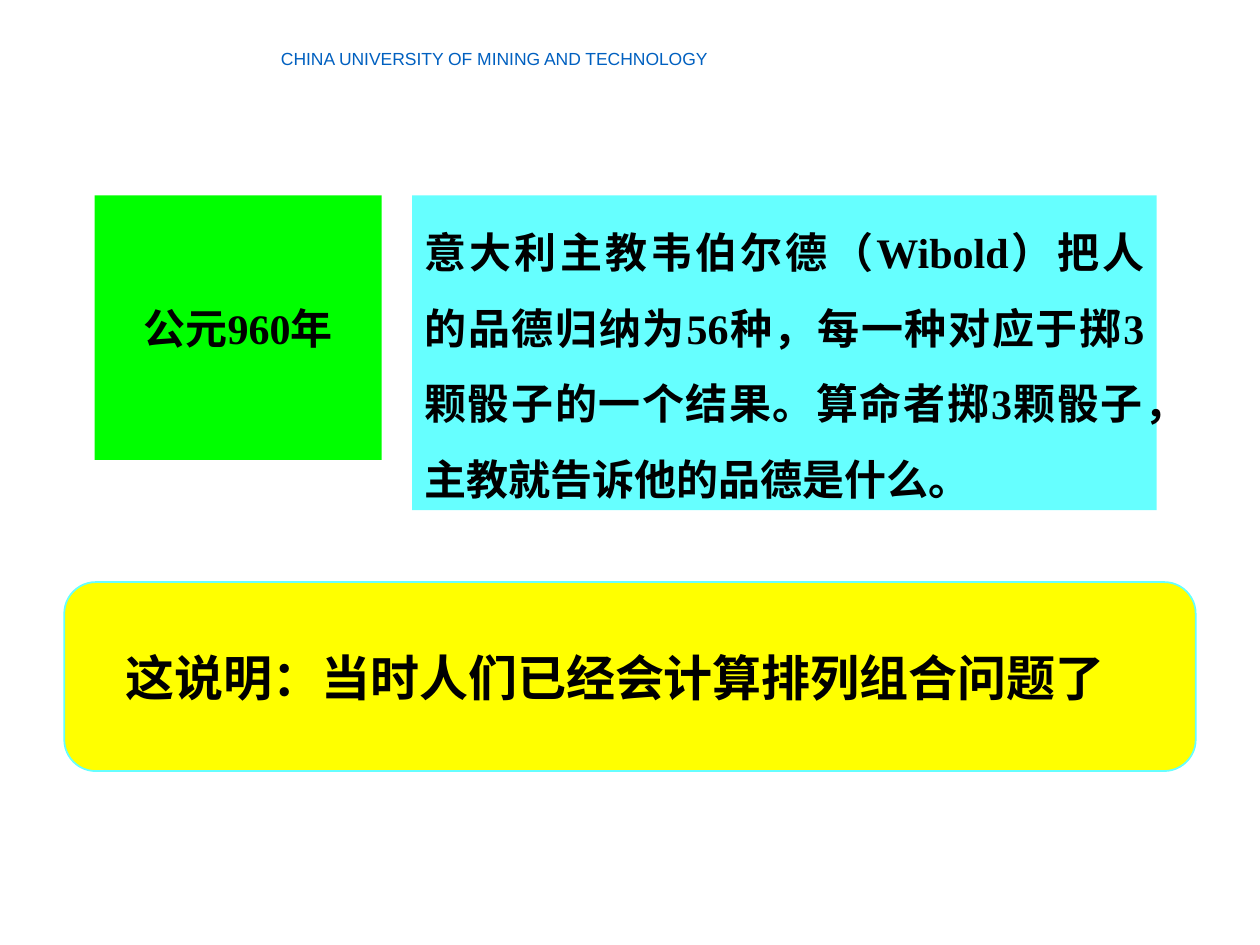
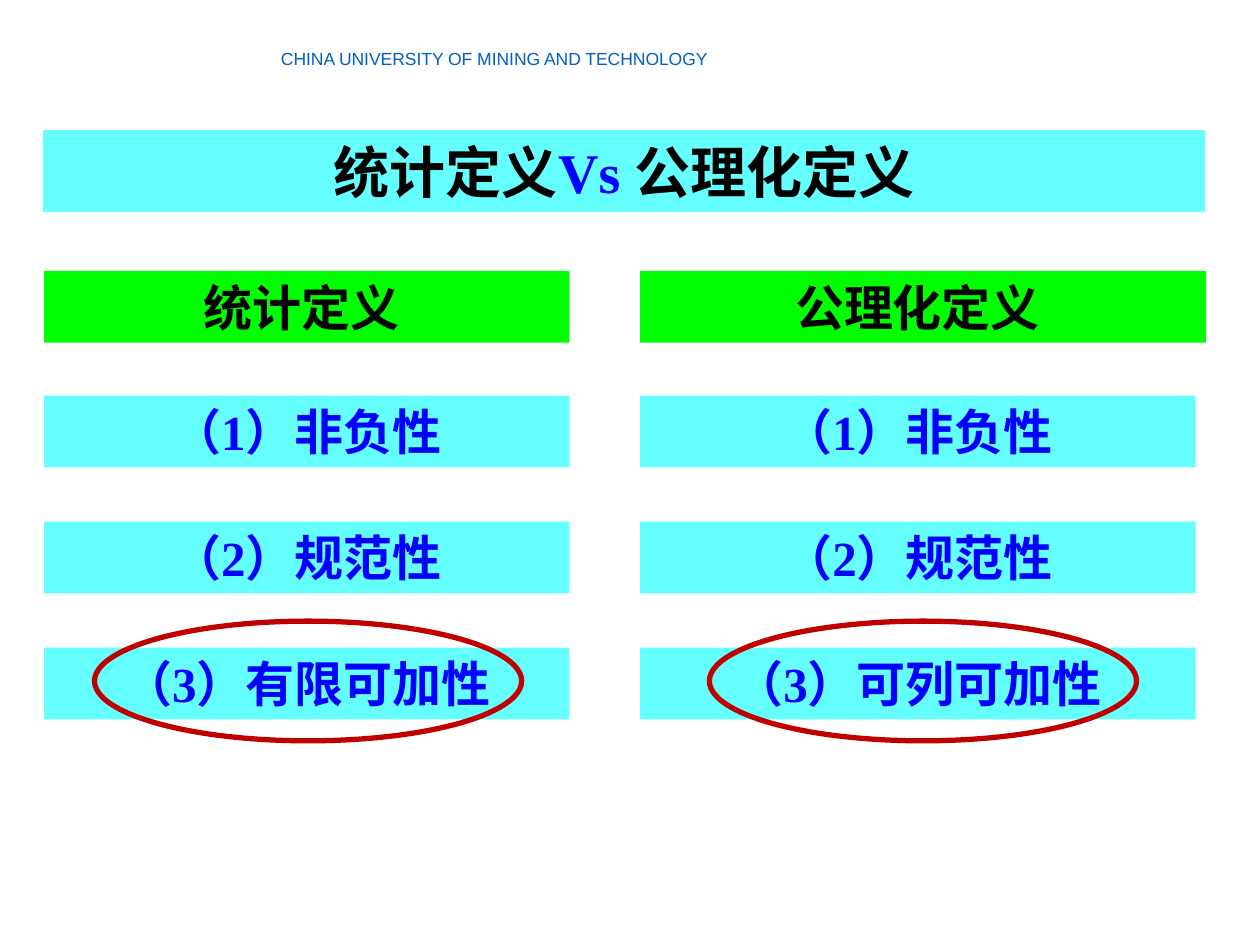
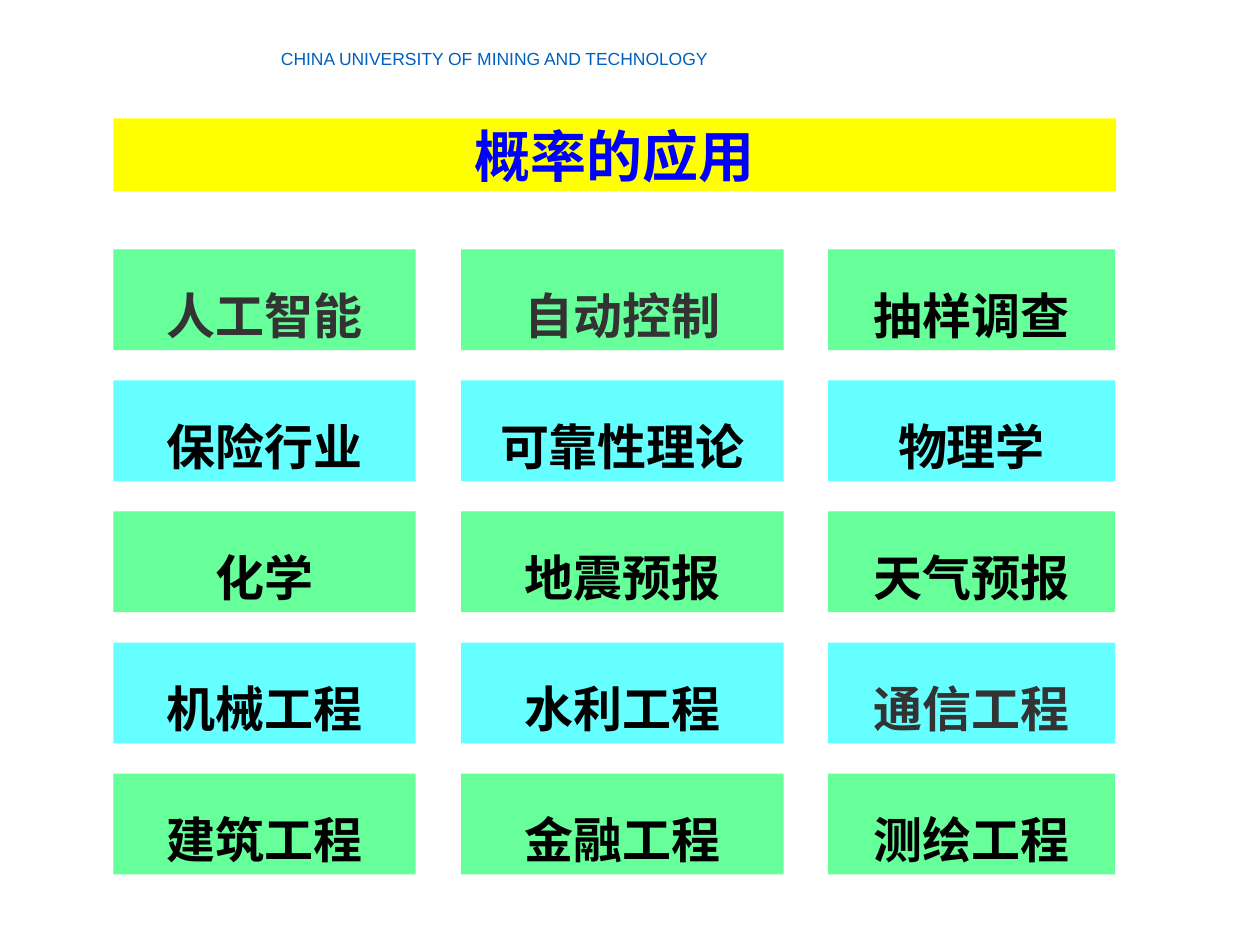
from itertools import product

from lxml.etree import SubElement
from pptx import Presentation
from pptx.dml.color import RGBColor
from pptx.enum.shapes import MSO_SHAPE as Preset
from pptx.enum.text import MSO_ANCHOR as Anchor, PP_ALIGN as Align
from pptx.oxml.ns import qn
from pptx.util import Emu, Pt

SCALE = 9144
SLIDE_SIZE = (1000, 750)
BLACK, GREY, BLUE, RED = "000000", "333333", "0000FF", "C00000"
GREEN, MINT, CYAN, YELLOW = "00FF00", "66FF99", "66FFFF", "FFFF00"
HEADER_BLUE = "0060C0"
SERIF, SANS, CJK = "Times New Roman", "Arial", "Noto Sans CJK SC"


def px(*lengths):
    """Turn px lengths into EMU."""
    return [Emu(length * SCALE) for length in lengths]


def color(value):
    """Turn a hex string into a colour."""
    return RGBColor.from_string(value)


def assign(target, values):
    """Set every attribute named in a dict."""
    for key, value in values.items():
        setattr(target, key, value)


def write(host, runs, size=28, font=SERIF, bold=True, align=Align.CENTER,
          spacing=None, anchor=Anchor.TOP, inset=(10, 5)):
    """Fill a shape with one paragraph of (text, colour) runs."""
    side, edge = px(*inset)
    frame = host.text_frame
    assign(frame, {"word_wrap": True, "vertical_anchor": anchor,
                   "margin_left": side, "margin_right": side,
                   "margin_top": edge, "margin_bottom": edge})
    paragraph = frame.paragraphs[0]
    assign(paragraph, {"alignment": align, "line_spacing": spacing})
    for words, ink in runs:
        run = paragraph.add_run()
        run.text = words
        assign(run.font, {"size": Pt(size), "name": font, "bold": bold})
        run.font.color.rgb = color(ink)
        SubElement(run.font._element, qn("a:ea")).set("typeface", CJK)


def panel(slide, box, fill=None, line=None, width=1, preset=Preset.RECTANGLE):
    """Add a flat preset shape with an optional fill and outline."""
    shape = slide.shapes.add_shape(preset, *px(*box))
    shape.shadow.inherit = False
    if fill:
        shape.fill.solid()
        shape.fill.fore_color.rgb = color(fill)
    else:
        shape.fill.background()
    if line:
        shape.line.color.rgb = color(line)
        shape.line.width = Pt(width)
    else:
        shape.line.fill.background()
    return shape


def label(slide, box, words, fill, ink=BLACK, **style):
    """Add a filled box holding one run of text."""
    write(panel(slide, box, fill), [(words, ink)], **style)


def caption(slide, box, words, ink=BLACK, **style):
    """Add left-aligned text without a fill."""
    write(slide.shapes.add_textbox(*px(*box)), [(words, ink)], align=Align.LEFT, **style)


def new_slide(deck):
    """Add a blank slide with the university header."""
    slide = deck.slides.add_slide(deck.slide_layouts[6])
    caption(slide, (214, 34, 400, 25), "CHINA UNIVERSITY OF MINING AND TECHNOLOGY",
            HEADER_BLUE, size=10, font=SANS, bold=False, inset=(9, 4))
    return slide


def history(slide, box, year, story):
    """Set a year beside the story of that year."""
    left, top, width, height = box
    year_width, gap = 228, 24
    label(slide, (left, top, year_width, 210), year, GREEN, size=24, anchor=Anchor.MIDDLE)
    story_left = year_width + gap
    label(slide, (left + story_left, top, width - story_left, height), story, CYAN,
          size=24, align=Align.JUSTIFY, spacing=1.5)


def conclusion(slide, box, words):
    """Draw the rounded conclusion banner."""
    left, top, width, _ = box
    panel(slide, box, YELLOW, CYAN, preset=Preset.ROUNDED_RECTANGLE)
    caption(slide, (left + 39, top + 47, width - 95, 57), words)


def definition(slide, box, heading, properties, item_width, ring_inset):
    """Stack a definition's properties and ring the last one."""
    left, top, width, height = box
    label(slide, box, heading, GREEN, anchor=Anchor.MIDDLE)
    for row, words in enumerate(properties):
        item_top = top + 99 + 100 * row
        label(slide, (left, item_top, item_width, height), words, CYAN, BLUE)
    panel(slide, (left + ring_inset, item_top - 21, 339, 95), line=RED, width=3,
          preset=Preset.OVAL)


def applications(slide, box, rows, greyed):
    """Lay out fields of application in rows of alternating colour."""
    left, top, _, height = box
    columns = ((0, 240), (276, 256), (567, 228))
    for row, column in product(range(len(rows)), range(len(columns))):
        offset, width = columns[column]
        field = rows[row][column]
        ink, font = (GREY, CJK) if field in greyed else (BLACK, SERIF)
        label(slide, (left + offset, top + 104 * row, width, height), field,
              (MINT, CYAN)[row % 2], ink, font=font, spacing=1.5)


def history_slide(deck):
    """Build the slide on the year 960."""
    slide = new_slide(deck)
    history(slide, (75, 155, 843, 250), "公元960年",
            "意大利主教韦伯尔德（Wibold）把人的品德归纳为56种，每一种对应于掷"
            "3颗骰子的一个结果。算命者掷3颗骰子，主教就告诉他的品德是什么。")
    conclusion(slide, (51, 462, 898, 150), "这说明：当时人们已经会计算排列组合问题了")


def comparison_slide(deck):
    """Build the slide comparing the two definitions."""
    slide = new_slide(deck)
    title = panel(slide, (35, 104, 921, 64), CYAN, CYAN, 0.75)
    write(title, [("统计定义", BLACK), ("Vs ", BLUE), ("公理化定义", BLACK)],
          size=32, anchor=Anchor.MIDDLE)
    shared = ["（1）非负性", "（2）规范性"]
    definition(slide, (35, 215, 417, 57), "统计定义 ", shared + ["（3）有限可加性"], 417, 40)
    definition(slide, (508, 215, 449, 57), "公理化定义 ", shared + ["（3）可列可加性"], 441, 55)


def applications_slide(deck):
    """Build the slide on applications of probability."""
    slide = new_slide(deck)
    label(slide, (90, 94, 796, 58), "概率的应用", YELLOW, BLUE, size=32, anchor=Anchor.MIDDLE)
    rows = (("人工智能", "自动控制", "抽样调查"),
            ("保险行业", "可靠性理论", "物理学"),
            ("化学", "地震预报", "天气预报"),
            ("机械工程", "水利工程", "通信工程"),
            ("建筑工程", "金融工程", "测绘工程"))
    applications(slide, (90, 198, 796, 80), rows, {"人工智能", "自动控制", "通信工程"})


def main():
    """Build and save the deck."""
    deck = Presentation()
    deck.slide_width, deck.slide_height = px(*SLIDE_SIZE)
    for build in (history_slide, comparison_slide, applications_slide):
        build(deck)
    deck.save("out.pptx")


if __name__ == "__main__":
    main()
